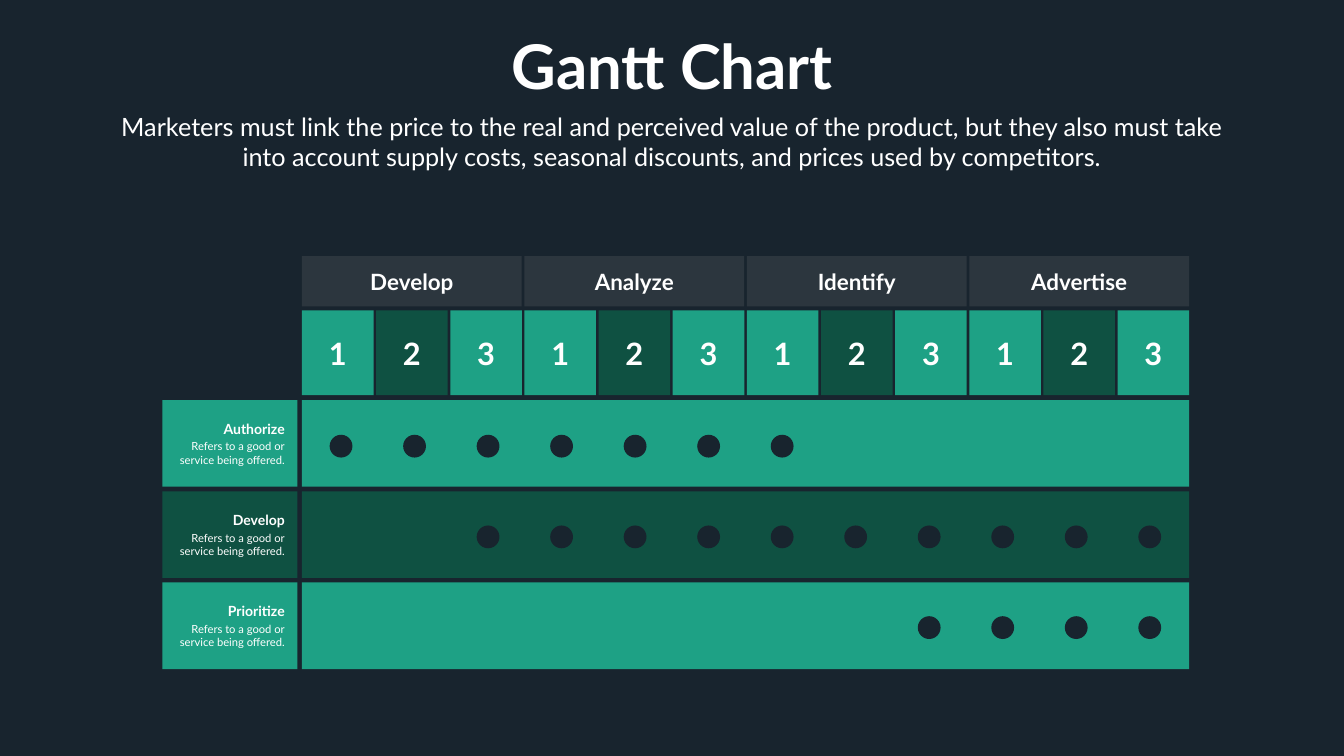
import pptx
import pptx.util
from lxml import etree
from pptx.dml.color import RGBColor
from pptx.enum.shapes import MSO_SHAPE
from pptx.enum.text import MSO_ANCHOR, MSO_AUTO_SIZE, PP_ALIGN
from pptx.oxml.ns import qn

Pt = pptx.util.Pt

NAVY = RGBColor(0x18, 0x24, 0x2E)
GREEN = RGBColor(0x1E, 0xA1, 0x85)
DARK_GREEN = RGBColor(0x0F, 0x51, 0x42)
GRAY = RGBColor(0x80, 0x80, 0x80)
WHITE = RGBColor(0xFF, 0xFF, 0xFF)
FONT = "Lato"

GRID_LEFT = 431.3
GRID_WIDTH = 1267.2
MONTH_PITCH = 105.9
MONTH_WIDTH = 102.2
PHASE_PITCH = 3 * MONTH_PITCH
PHASE_WIDTH = 313.9
LABEL_LEFT = 231.8
LABEL_WIDTH = 193
ROW_TOP = 571.5
ROW_PITCH = 130.3
ROW_HEIGHT = 123.8
DOT_SIZE = 32.6
DOT_CENTER_X = 487.1
DOT_CENTER_Y = 637.4
DOT_PITCH_X = 105
DOT_PITCH_Y = 129.6

SUBTITLE = (
    "Marketers must link the price to the real and perceived value of the product, "
    "but they also must take into account supply costs, seasonal discounts, "
    "and prices used by competitors."
)
DETAILS = ("Refers to a good or", "service being offered.")
PHASES = ("Develop", "Analyze", "Identify", "Advertise")
TASKS = (
    ("Authorize", GREEN, range(0, 7)),
    ("Develop", DARK_GREEN, range(2, 12)),
    ("Prioritize", GREEN, range(8, 12)),
)


def format_paragraph(p, size, bold, align):
    p.alignment = align
    for r in p.runs:
        r.font.name = FONT
        r.font.size = Pt(size)
        r.font.bold = bold
        r.font.color.rgb = WHITE


def add_shape(s, kind, left, top, width, height, color):
    sp = s.shapes.add_shape(kind, Pt(left), Pt(top), Pt(width), Pt(height))
    sp.shadow.inherit = False
    sp.fill.solid()
    sp.fill.fore_color.rgb = color
    sp.line.fill.background()
    return sp


def add_cell(s, left, top, width, height, color, text, size):
    sp = add_shape(s, MSO_SHAPE.RECTANGLE, left, top, width, height, color)
    tf = sp.text_frame
    tf.text = text
    tf.vertical_anchor = MSO_ANCHOR.MIDDLE
    format_paragraph(tf.paragraphs[0], size, True, PP_ALIGN.CENTER)
    return sp


def set_alpha(sp, percent):
    color = sp.fill._xPr.find(qn("a:solidFill"))[0]
    etree.SubElement(color, qn("a:alpha")).set("val", str(percent * 1000))


def add_title(s):
    sp = s.shapes.title
    sp.left, sp.top, sp.width, sp.height = Pt(717.8), Pt(35.3), Pt(484.6), Pt(113.8)
    tf = sp.text_frame
    tf.text = "Gantt Chart"
    tf.word_wrap = False
    tf.auto_size = MSO_AUTO_SIZE.NONE
    tf.vertical_anchor = MSO_ANCHOR.MIDDLE
    format_paragraph(tf.paragraphs[0], 88, True, PP_ALIGN.CENTER)


def add_subtitle(s):
    sp = s.shapes.add_textbox(Pt(159.8), Pt(154.8), Pt(1599.1), Pt(94.3))
    tf = sp.text_frame
    tf.word_wrap = True
    tf.text = SUBTITLE
    format_paragraph(tf.paragraphs[0], 36, False, PP_ALIGN.CENTER)


def add_phase(s, index, name):
    left = GRID_LEFT + index * PHASE_PITCH
    header = add_cell(s, left, 365.8, PHASE_WIDTH, 72, GRAY, name, 32)
    set_alpha(header, 20)
    for month, color in enumerate((GREEN, DARK_GREEN, GREEN)):
        add_cell(s, left + month * MONTH_PITCH, 443.5, MONTH_WIDTH, 121,
                 color, str(month + 1), 44)


def add_task(s, index, name, color, months):
    top = ROW_TOP + index * ROW_PITCH
    label = add_cell(s, LABEL_LEFT, top, LABEL_WIDTH, ROW_HEIGHT, color, name, 20)
    tf = label.text_frame
    tf.margin_right = Pt(18)
    p = tf.paragraphs[0]
    p.alignment = PP_ALIGN.RIGHT
    p.space_after = Pt(4)
    for detail in DETAILS:
        p = tf.add_paragraph()
        p.text = detail
        format_paragraph(p, 16, False, PP_ALIGN.RIGHT)

    add_shape(s, MSO_SHAPE.RECTANGLE, GRID_LEFT, top, GRID_WIDTH, ROW_HEIGHT, color)
    dot_top = DOT_CENTER_Y + index * DOT_PITCH_Y - DOT_SIZE / 2
    for month in months:
        dot_left = DOT_CENTER_X + month * DOT_PITCH_X - DOT_SIZE / 2
        add_shape(s, MSO_SHAPE.OVAL, dot_left, dot_top, DOT_SIZE, DOT_SIZE, NAVY)


def main():
    prs = pptx.Presentation()
    prs.slide_width = Pt(1919.5)
    prs.slide_height = Pt(1080)
    s = prs.slides.add_slide(prs.slide_layouts[5])
    s.background.fill.solid()
    s.background.fill.fore_color.rgb = NAVY
    add_title(s)
    add_subtitle(s)
    for index, name in enumerate(PHASES):
        add_phase(s, index, name)
    for index, (name, color, months) in enumerate(TASKS):
        add_task(s, index, name, color, months)
    prs.save("out.pptx")


if __name__ == "__main__":
    main()
